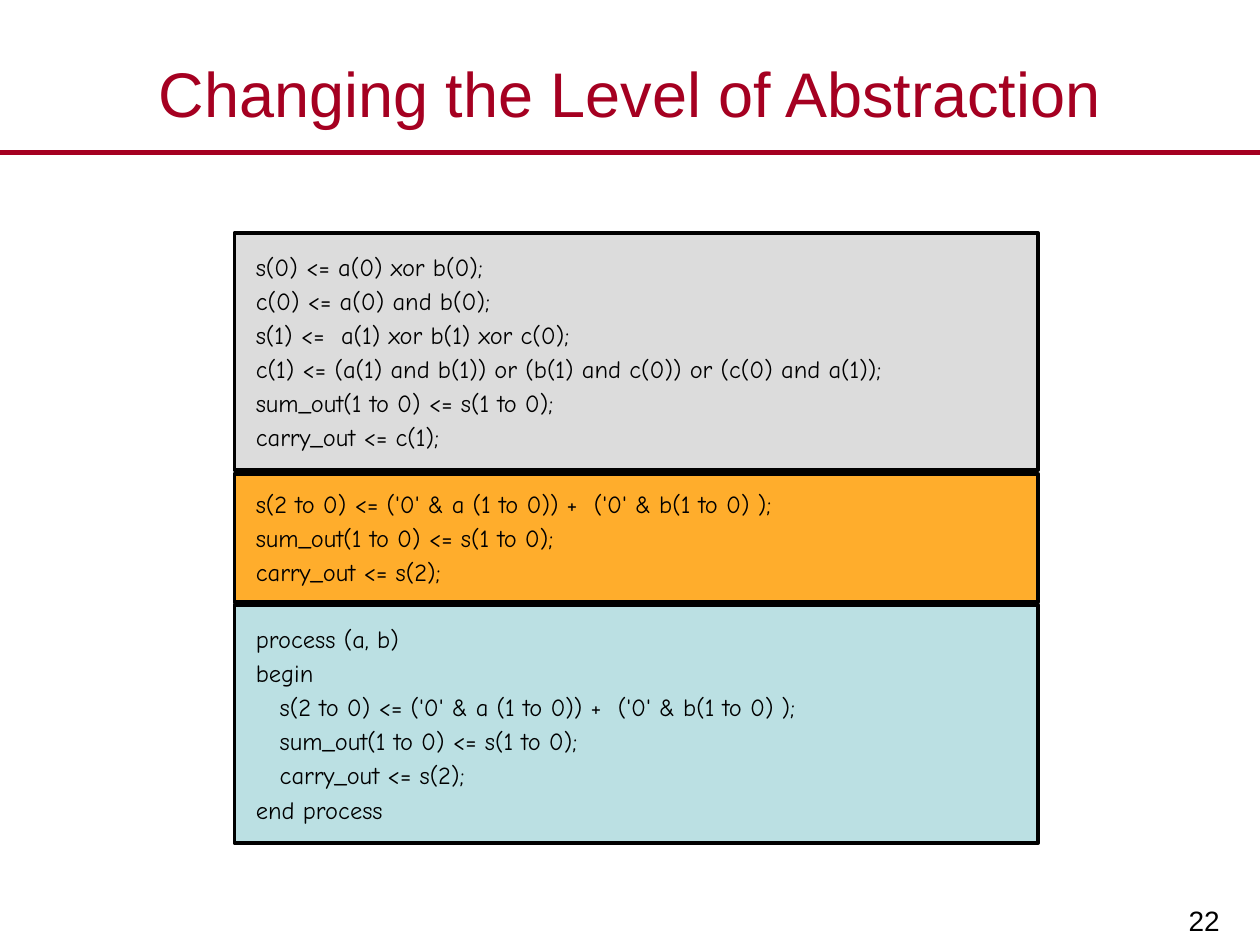
from pptx import Presentation
from pptx.dml.color import RGBColor
from pptx.enum.shapes import MSO_CONNECTOR, MSO_SHAPE
from pptx.enum.text import MSO_ANCHOR, PP_ALIGN
from pptx.oxml.ns import qn
from pptx.util import Inches, Pt
from lxml import etree

LEFT, CENTER, RIGHT = PP_ALIGN.LEFT, PP_ALIGN.CENTER, PP_ALIGN.RIGHT
MIDDLE, BOTTOM = MSO_ANCHOR.MIDDLE, MSO_ANCHOR.BOTTOM
RECTANGLE, STRAIGHT = MSO_SHAPE.RECTANGLE, MSO_CONNECTOR.STRAIGHT

TITLE = "Changing the Level of Abstraction"
PAGE_NUMBER = "22"
ADDER = [
    "s(2 to 0) <= ('0' & a (1 to 0)) +  ('0' & b(1 to 0) );",
    "sum_out(1 to 0) <= s(1 to 0);",
    "carry_out <= s(2);",
]
# Each level of abstraction: fill, top, height, lines, numbers of indented lines
LEVELS = [
    ("gates", 1.85, 1.88, [
        "s(0) <= a(0) xor b(0);",
        "c(0) <= a(0) and b(0);",
        "s(1) <=  a(1) xor b(1) xor c(0);",
        "c(1) <= (a(1) and b(1)) or (b(1) and c(0)) or (c(0) and a(1));",
        "sum_out(1 to 0) <= s(1 to 0);",
        "carry_out <= c(1);",
    ], ()),
    ("arithmetic", 3.76, 1.02, ADDER, ()),
    ("process", 4.8, 1.89, ["process (a, b)", "begin", *ADDER, "end process"],
     (2, 3, 4)),
]

THEME = {
    "accent": RGBColor.from_string("A50021"),
    "ink": RGBColor.from_string("000000"),
    "gates": RGBColor.from_string("DCDCDC"),
    "arithmetic": RGBColor.from_string("FFAD2C"),
    "process": RGBColor.from_string("BBE0E3"),
    "font": "Arial",
    "code_font": "Comic Neue",
    "title_size": Pt(36),
    "number_size": Pt(16),
    "code_size": Pt(14),
}
SLIDE_WIDTH, SLIDE_HEIGHT = 10, 7.5
CODE_LEFT, CODE_WIDTH = 1.86, 6.38
CODE_INDENT = Inches(0.19)
LINE_GAP = Pt(2.7)


def write(shape, lines, font, size, color, align, anchor, insets):
    """Fill a shape with paragraphs; insets are left, top, right, bottom inches."""
    frame = shape.text_frame
    frame.word_wrap = True
    frame.vertical_anchor = anchor
    (frame.margin_left, frame.margin_top,
     frame.margin_right, frame.margin_bottom) = map(Inches, insets)
    frame.text = "\n".join(lines)
    for paragraph in frame.paragraphs:
        paragraph.alignment = align
        for run in paragraph.runs:
            run.font.name = font
            run.font.size = size
            run.font.color.rgb = color


def add_label(slide, box, text, size, color, align, anchor):
    label = slide.shapes.add_textbox(*map(Inches, box))
    write(label, [text], THEME["font"], size, color, align, anchor,
          (0.11, 0.06, 0.11, 0.06))


def add_title_rule(slide, y):
    rule = slide.shapes.add_connector(
        STRAIGHT, 0, Inches(y), Inches(SLIDE_WIDTH), Inches(y))
    rule.line.color.rgb = THEME["accent"]
    rule.line.width = Pt(3)
    etree.SubElement(rule._element.spPr, qn("a:effectLst"))


def add_code_block(slide, level, top, height, lines, indented):
    block = slide.shapes.add_shape(
        RECTANGLE, *map(Inches, (CODE_LEFT, top, CODE_WIDTH, height)))
    block.shadow.inherit = False
    block.fill.solid()
    block.fill.fore_color.rgb = THEME[level]
    block.line.color.rgb = THEME["ink"]
    block.line.width = Pt(2)
    write(block, lines, THEME["code_font"], THEME["code_size"], THEME["ink"],
          LEFT, MIDDLE, (0.17, 0, 0, 0))
    for number, paragraph in enumerate(block.text_frame.paragraphs):
        paragraph.space_after = LINE_GAP
        if number in indented:
            paragraph._p.get_or_add_pPr().set("marL", str(CODE_INDENT))


def main():
    deck = Presentation()
    deck.slide_width = Inches(SLIDE_WIDTH)
    deck.slide_height = Inches(SLIDE_HEIGHT)
    slide = deck.slides.add_slide(deck.slide_layouts[6])

    add_title_rule(slide, 1.21)
    add_label(slide, (7.8, 6.93, 1.99, 0.57), PAGE_NUMBER,
              THEME["number_size"], THEME["ink"], RIGHT, BOTTOM)
    add_label(slide, (0, 0.3, SLIDE_WIDTH, 0.86), TITLE,
              THEME["title_size"], THEME["accent"], CENTER, MIDDLE)
    for level in LEVELS:
        add_code_block(slide, *level)

    deck.save("out.pptx")


if __name__ == "__main__":
    main()
